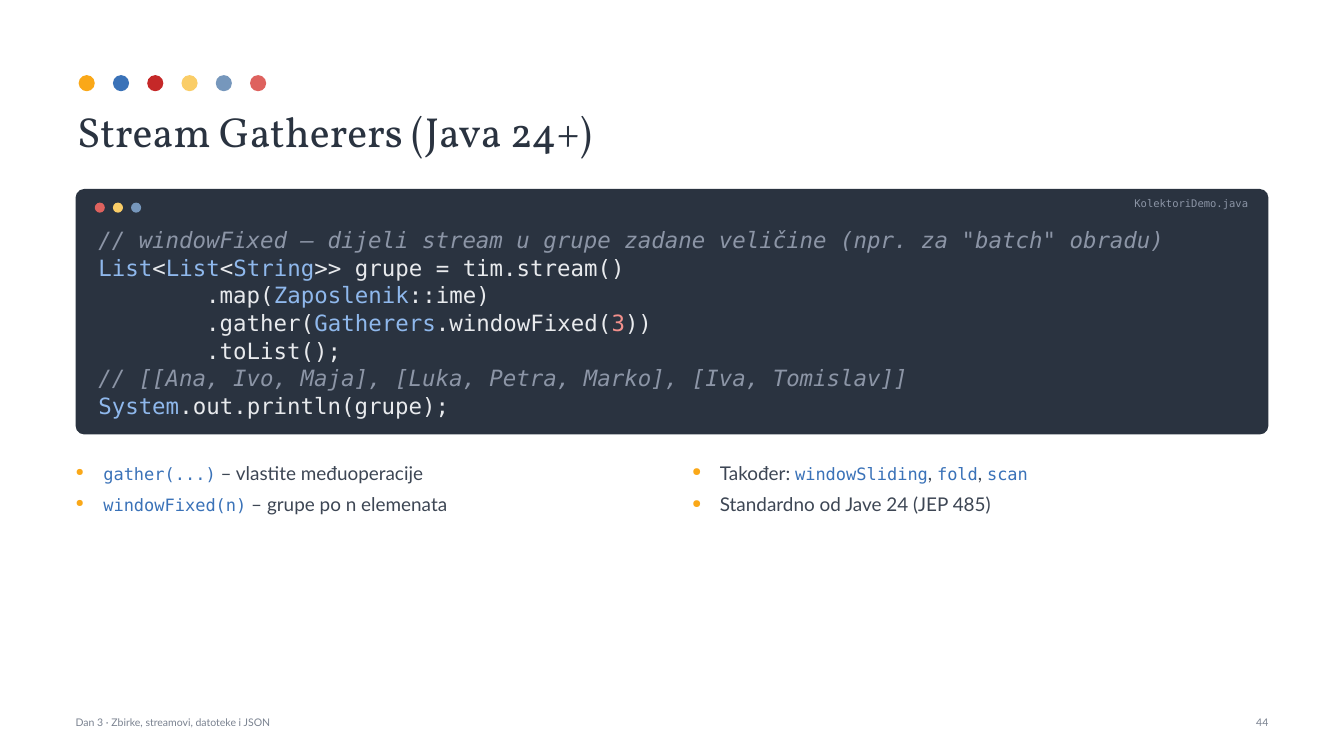
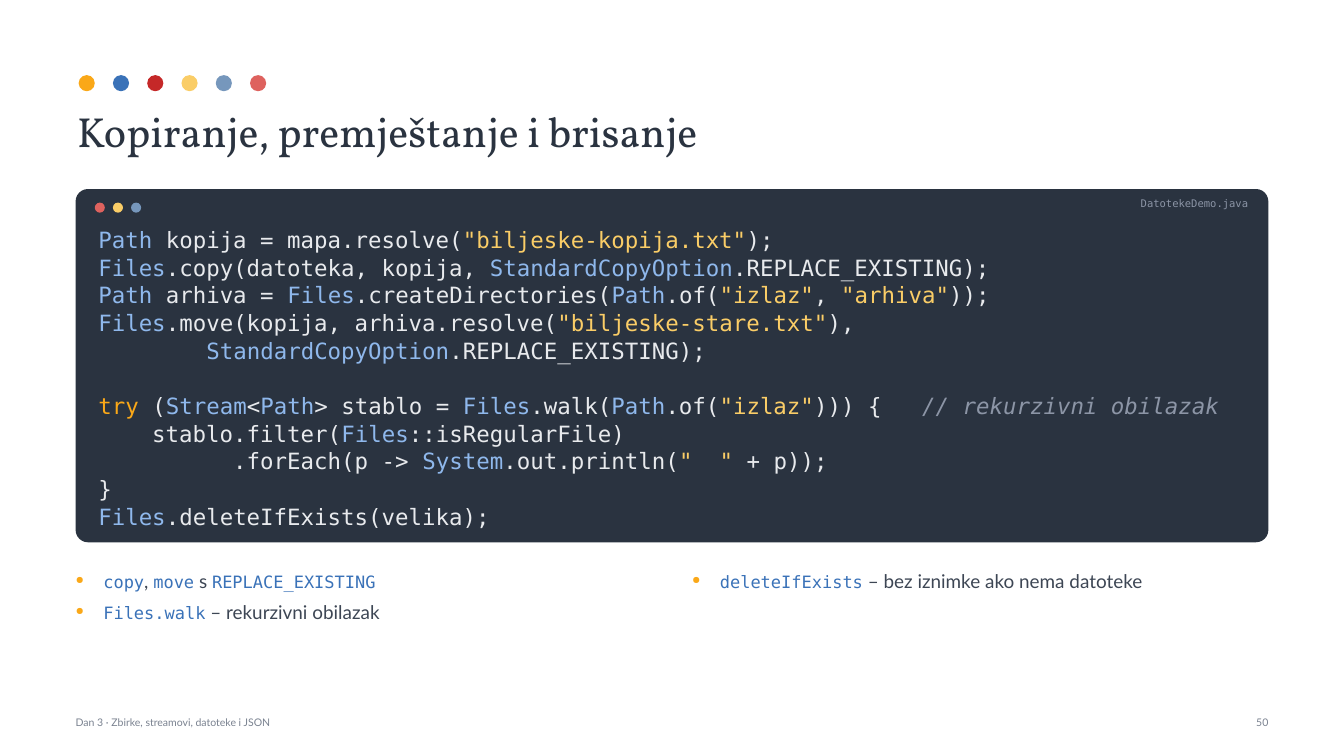
from itertools import groupby

from lxml import etree
from pptx import Presentation
from pptx import util as u
from pptx.dml.color import RGBColor
from pptx.enum import shapes, text
from pptx.oxml.ns import qn

COLORS = {
    "orange": "FAA818", "blue": "3A72B8", "red": "C52828",
    "yellow": "FACD67", "steel": "7697BC", "coral": "DE625E",
    "dark": "2A3340", "body": "3D4654", "footer": "7A8290",
    "plain": "E8EAED", "comment": "8C95A6", "type": "8FB8EC",
    "string": "FACD67", "keyword": "FAA818", "number": "F2908C",
}
TITLE_FONT, BODY_FONT, CODE_FONT = "Vollkorn", "Lato", "DejaVu Sans Mono"
FOOTER = "Dan 3 · Zbirke, streamovi, datoteke i JSON"
TITLE_DOTS = ["orange", "blue", "red", "yellow", "steel", "coral"]
WINDOW_DOTS = ["coral", "yellow", "steel"]
KEYWORDS = {"try"}

# Backticks in the points mark inline code.
SLIDES = [
    {
        "title": "Stream Gatherers (Java 24+)",
        "number": 44,
        "file": "KolektoriDemo.java",
        "code": """\
// windowFixed – dijeli stream u grupe zadane veličine (npr. za "batch" obradu)
List<List<String>> grupe = tim.stream()
        .map(Zaposlenik::ime)
        .gather(Gatherers.windowFixed(3))
        .toList();
// [[Ana, Ivo, Maja], [Luka, Petra, Marko], [Iva, Tomislav]]
System.out.println(grupe);""",
        "points": [
            ["`gather(...)` – vlastite međuoperacije",
             "`windowFixed(n)` – grupe po n elemenata"],
            ["Također: `windowSliding`, `fold`, `scan`",
             "Standardno od Jave 24 (JEP 485)"],
        ],
    },
    {
        "title": "Kopiranje, premještanje i brisanje",
        "number": 50,
        "file": "DatotekeDemo.java",
        "code": """\
Path kopija = mapa.resolve("biljeske-kopija.txt");
Files.copy(datoteka, kopija, StandardCopyOption.REPLACE_EXISTING);
Path arhiva = Files.createDirectories(Path.of("izlaz", "arhiva"));
Files.move(kopija, arhiva.resolve("biljeske-stare.txt"),
        StandardCopyOption.REPLACE_EXISTING);

try (Stream<Path> stablo = Files.walk(Path.of("izlaz"))) {   // rekurzivni obilazak
    stablo.filter(Files::isRegularFile)
          .forEach(p -> System.out.println("  " + p));
}
Files.deleteIfExists(velika);""",
        "points": [
            ["`copy`, `move` s `REPLACE_EXISTING`",
             "`Files.walk` – rekurzivni obilazak"],
            ["`deleteIfExists` – bez iznimke ako nema datoteke"],
        ],
    },
]

LEFT, WIDTH = 1.5, 23.66
PANEL_TOP, PANEL_PADDING, CODE_LINE = 3.75, 1.125, 0.535
COLUMN_WIDTH, COLUMN_GAP = 11.43, 0.8
POINTS_BOTTOM = 13.7


def rgb(color):
    return RGBColor.from_string(COLORS[color])


def add_run(paragraph, content, font, size, color, italic=False):
    run = paragraph.add_run()
    run.text = content
    run.font.name, run.font.size = font, u.Pt(size)
    run.font.color.rgb = rgb(color)
    run.font.italic = italic


def add_filled(container, kind, left, top, width, height, color):
    shape = container.add_shape(kind, *map(u.Inches, (left, top, width, height)))
    shape.shadow.inherit = False
    shape.fill.solid()
    shape.fill.fore_color.rgb = rgb(color)
    shape.line.fill.background()
    return shape


def add_dots(container, colors, left, top, size, pitch):
    for index, color in enumerate(colors):
        add_filled(container, shapes.MSO_SHAPE.OVAL, left + index * pitch, top,
                   size, size, color)


def add_text_frame(slide, left, top, width, height):
    """Add a wrapping text box without margins and return its text frame."""
    frame = slide.shapes.add_textbox(
        *map(u.Inches, (left, top, width, height))).text_frame
    frame.word_wrap = True
    frame.margin_left = frame.margin_right = frame.margin_top = frame.margin_bottom = 0
    return frame


def add_label(slide, content, left, top, width, font, color, right=False):
    paragraph = add_text_frame(slide, left, top, width, 0.45).paragraphs[0]
    if right:
        paragraph.alignment = text.PP_ALIGN.RIGHT
    add_run(paragraph, content, font, 15, color)


def add_paragraphs(frame, count):
    for _ in range(count - 1):
        frame.add_paragraph()
    return frame.paragraphs


def word_style(word):
    if word in KEYWORDS:
        return "keyword"
    if word.isdigit():
        return "number"
    return "type" if word[0].isupper() and not word.isupper() else "plain"


def highlight(line):
    """Yield the (style, text) pieces of one line of code."""
    code, slashes, comment = line.partition("//")
    tokens = []
    for index, part in enumerate(code.split('"')):
        if index % 2:
            tokens.append(("string", f'"{part}"'))
            continue
        for is_word, letters in groupby(part, lambda c: c.isalnum() or c == "_"):
            word = "".join(letters)
            tokens.append((word_style(word) if is_word else "plain", word))
    if slashes:
        tokens.append(("comment", slashes + comment))
    for style, group in groupby(tokens, lambda token: token[0]):
        yield style, "".join(piece for _, piece in group)


def add_title(slide, title):
    group = slide.shapes.add_group_shape()
    add_dots(group.shapes, TITLE_DOTS, 1.56, 1.49, 0.32, 0.68)
    shape = slide.shapes.title
    shape.left, shape.top, shape.width, shape.height = map(
        u.Inches, (1.43, 2, 23.8, 1.2))
    frame = shape.text_frame
    frame.margin_left = frame.margin_right = u.Inches(0.1)
    frame.margin_top = frame.margin_bottom = u.Inches(0.1)
    frame.vertical_anchor = text.MSO_ANCHOR.TOP
    frame.auto_size = text.MSO_AUTO_SIZE.NONE
    paragraph = frame.paragraphs[0]
    paragraph.alignment = text.PP_ALIGN.LEFT
    add_run(paragraph, title, TITLE_FONT, 60, "dark")


def add_code_panel(slide, file_name, code):
    """Draw the code window and return its bottom edge."""
    lines = code.split("\n")
    height = PANEL_PADDING + CODE_LINE * len(lines)
    panel = add_filled(slide.shapes, shapes.MSO_SHAPE.ROUNDED_RECTANGLE,
                       LEFT, PANEL_TOP, WIDTH, height, "dark")
    panel.adjustments[0] = 0.035
    add_dots(slide.shapes, WINDOW_DOTS, 1.88, 4.02, 0.2, 0.36)
    add_label(slide, file_name, 3.5, 3.9, 21.26, CODE_FONT, "comment", right=True)
    frame = add_text_frame(slide, 1.95, 4.47, 23.06, height - 0.77)
    for paragraph, line in zip(add_paragraphs(frame, len(lines)), lines):
        paragraph.line_spacing = 1.03
        for style, piece in highlight(line or " "):
            add_run(paragraph, piece, CODE_FONT, 32, style, style == "comment")
    return PANEL_TOP + height


def add_bullet(paragraph):
    properties = paragraph._p.get_or_add_pPr()
    properties.set("marL", str(u.Inches(0.55)))
    properties.set("indent", str(-u.Inches(0.55)))
    color = etree.SubElement(properties, qn("a:buClr"))
    etree.SubElement(color, qn("a:srgbClr"), val=COLORS["orange"])
    etree.SubElement(properties, qn("a:buSzPct"), val="62000")
    etree.SubElement(properties, qn("a:buChar"), char="●")


def add_points(slide, columns, top):
    for column, points in enumerate(columns):
        left = LEFT + column * (COLUMN_WIDTH + COLUMN_GAP)
        frame = add_text_frame(slide, left, top, COLUMN_WIDTH, POINTS_BOTTOM - top)
        for paragraph, point in zip(add_paragraphs(frame, len(points)), points):
            add_bullet(paragraph)
            paragraph.line_spacing = 1.08
            paragraph.space_after = u.Pt(10)
            for index, piece in enumerate(point.split("`")):
                if piece and index % 2:
                    add_run(paragraph, piece, CODE_FONT, 24.3, "blue")
                elif piece:
                    add_run(paragraph, piece, BODY_FONT, 27, "body")


def main():
    presentation = Presentation()
    presentation.slide_width = u.Inches(26.66)
    presentation.slide_height = u.Inches(15)
    for content in SLIDES:
        slide = presentation.slides.add_slide(presentation.slide_layouts[5])
        add_title(slide, content["title"])
        panel_bottom = add_code_panel(slide, content["file"], content["code"])
        add_points(slide, content["points"], panel_bottom + 0.5)
        add_label(slide, FOOTER, LEFT, 14.2, 16, BODY_FONT, "footer")
        add_label(slide, str(content["number"]), 22.66, 14.2, 2.5, BODY_FONT,
                  "footer", right=True)
    presentation.save("out.pptx")


if __name__ == "__main__":
    main()
